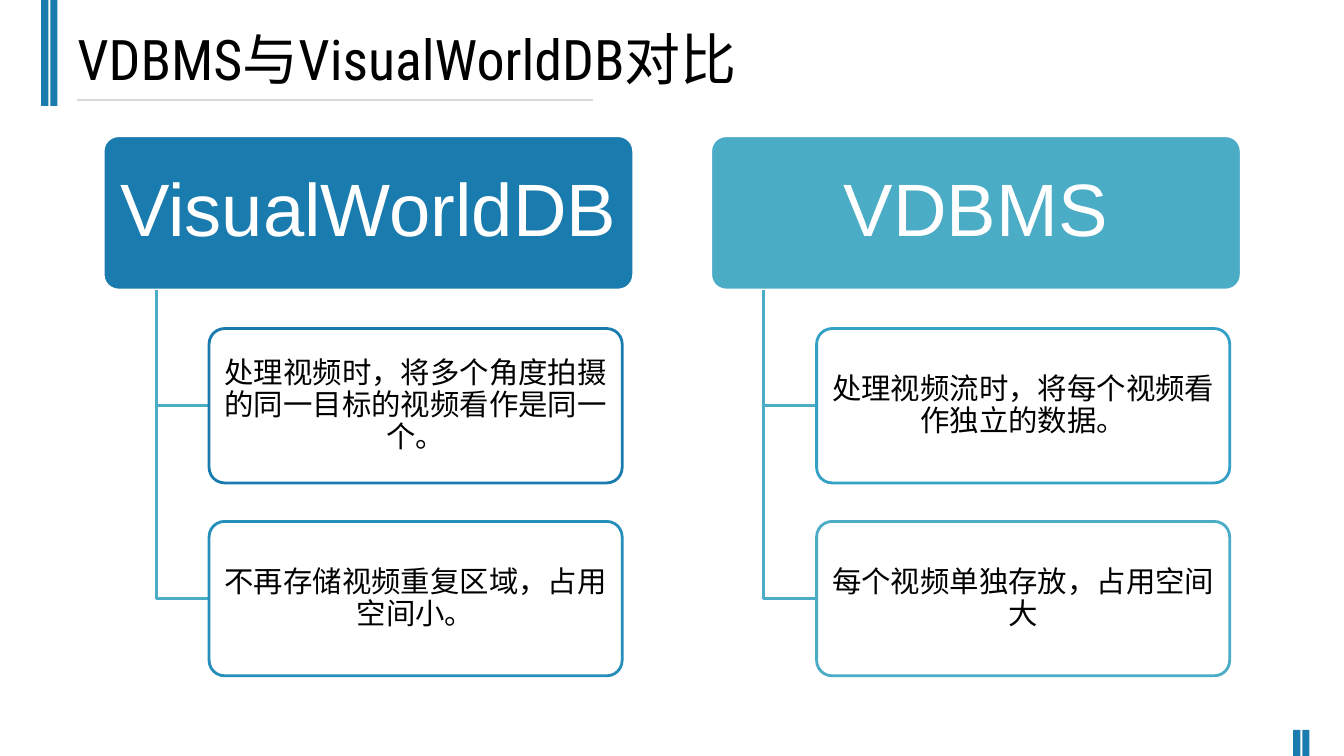
from lxml import etree
from pptx import Presentation
from pptx.dml.color import RGBColor
from pptx.enum.shapes import MSO_CONNECTOR, MSO_SHAPE
from pptx.enum.text import MSO_ANCHOR, MSO_AUTO_SIZE, PP_ALIGN
from pptx.oxml.ns import qn
from pptx.util import Cm, Pt

RECT = MSO_SHAPE.RECTANGLE
ROUND = MSO_SHAPE.ROUNDED_RECTANGLE
STRAIGHT = MSO_CONNECTOR.STRAIGHT
MIDDLE = MSO_ANCHOR.MIDDLE
FIXED = MSO_AUTO_SIZE.NONE
LEFT = PP_ALIGN.LEFT
CENTER = PP_ALIGN.CENTER

HUES = {
    "blue": "1A7BAE",
    "sky": "258EBB",
    "sea": "33A0C6",
    "teal": "4BACC6",
    "white": "FFFFFF",
    "black": "000000",
    "gray": "D9D9D9",
}

SIDES = [
    ("VisualWorldDB", "blue", [
        ("处理视频时，将多个角度拍摄的同一目标的视频看作是同一个。", "blue"),
        ("不再存储视频重复区域，占用空间小。", "sky"),
    ]),
    ("VDBMS", "teal", [
        ("处理视频流时，将每个视频看作独立的数据。", "sea"),
        ("每个视频单独存放，占用空间大", "teal"),
    ]),
]

HEAD_TOP, HEAD_WIDE, HIGH = 3.42, 13.37, 3.89
ITEM_TOP, ITEM_WIDE, ITEM_STEP = 8.28, 10.41, 4.86
SIDE_LEFT, SIDE_STEP = 2.6, 15.31
STEM, INDENT = 1.34, 2.67


def color(name):
    return RGBColor.from_string(HUES[name])


def add_run(para, text, size, font, hue):
    run = para.add_run()
    run.text = text
    run.font.size = Pt(size)
    run.font.name = font
    run.font.color.rgb = color(hue)


def set_frame(frame, pad_x, pad_y):
    frame.word_wrap = True
    frame.auto_size = FIXED
    frame.vertical_anchor = MIDDLE
    frame.margin_left = frame.margin_right = Cm(pad_x)
    frame.margin_top = frame.margin_bottom = Cm(pad_y)


def add_title(slide, text):
    title = slide.shapes.title
    title.left, title.top = Cm(1.7), Cm(0.48)
    title.width, title.height = Cm(22.02), Cm(1.96)
    set_frame(title.text_frame, 0.25, 0.13)
    para = title.text_frame.paragraphs[0]
    para.alignment = LEFT
    add_run(para, text, 40, "Roboto Condensed", "black")


def add_bar(slide, left, top, high):
    bar = slide.shapes.add_shape(RECT, Cm(left), Cm(top), Cm(0.18), Cm(high))
    bar.shadow.inherit = False
    bar.fill.solid()
    bar.fill.fore_color.rgb = color("blue")
    bar.line.fill.background()


def add_rule(slide, left, right, top):
    rule = slide.shapes.add_connector(STRAIGHT, Cm(left), Cm(top), Cm(right), Cm(top))
    rule.line.color.rgb = color("gray")
    rule.line.width = Pt(0.75)
    etree.SubElement(rule._element.spPr, qn("a:effectLst"))


def add_box(slide, left, top, wide, fill, edge, text, size, ink, pads):
    box = slide.shapes.add_shape(ROUND, Cm(left), Cm(top), Cm(wide), Cm(HIGH))
    box.adjustments[0] = 0.1
    box.shadow.inherit = False
    box.fill.solid()
    box.fill.fore_color.rgb = color(fill)
    box.line.color.rgb = color(edge)
    box.line.width = Pt(2)
    set_frame(box.text_frame, *pads)
    para = box.text_frame.paragraphs[0]
    para.alignment = CENTER
    para.line_spacing = 0.9
    add_run(para, text, size, "Arial", ink)


def add_elbow(slide, left, top, right, low):
    pen = slide.shapes.build_freeform(Cm(left), Cm(top))
    pen.add_line_segments([(Cm(left), Cm(low)), (Cm(right), Cm(low))], close=False)
    elbow = pen.convert_to_shape()
    elbow.shadow.inherit = False
    elbow.fill.background()
    elbow.line.color.rgb = color("teal")
    elbow.line.width = Pt(2)


def add_side(slide, left, name, hue, items):
    add_box(slide, left, HEAD_TOP, HEAD_WIDE, hue, "white",
            name, 53, "white", (0.28, 0.18))
    for row, (text, edge) in enumerate(items):
        top = ITEM_TOP + row * ITEM_STEP
        add_elbow(slide, left + STEM, HEAD_TOP + HIGH, left + INDENT, top + HIGH / 2)
        add_box(slide, left + INDENT, top, ITEM_WIDE, "white", edge,
                text, 21, "black", (0.1, 0.08))


def main():
    deck = Presentation()
    deck.slide_width, deck.slide_height = Cm(33.87), Cm(19.05)
    slide = deck.slides.add_slide(deck.slide_layouts[5])
    for left, top, high in [(1.04, 0, 2.67), (1.27, 0, 2.67),
                            (32.59, 18.39, 0.66), (32.82, 18.39, 0.66)]:
        add_bar(slide, left, top, high)
    add_rule(slide, 1.93, 14.94, 2.52)
    add_title(slide, "VDBMS与VisualWorldDB对比")
    for col, side in enumerate(SIDES):
        add_side(slide, SIDE_LEFT + col * SIDE_STEP, *side)
    deck.save("out.pptx")


if __name__ == "__main__":
    main()
